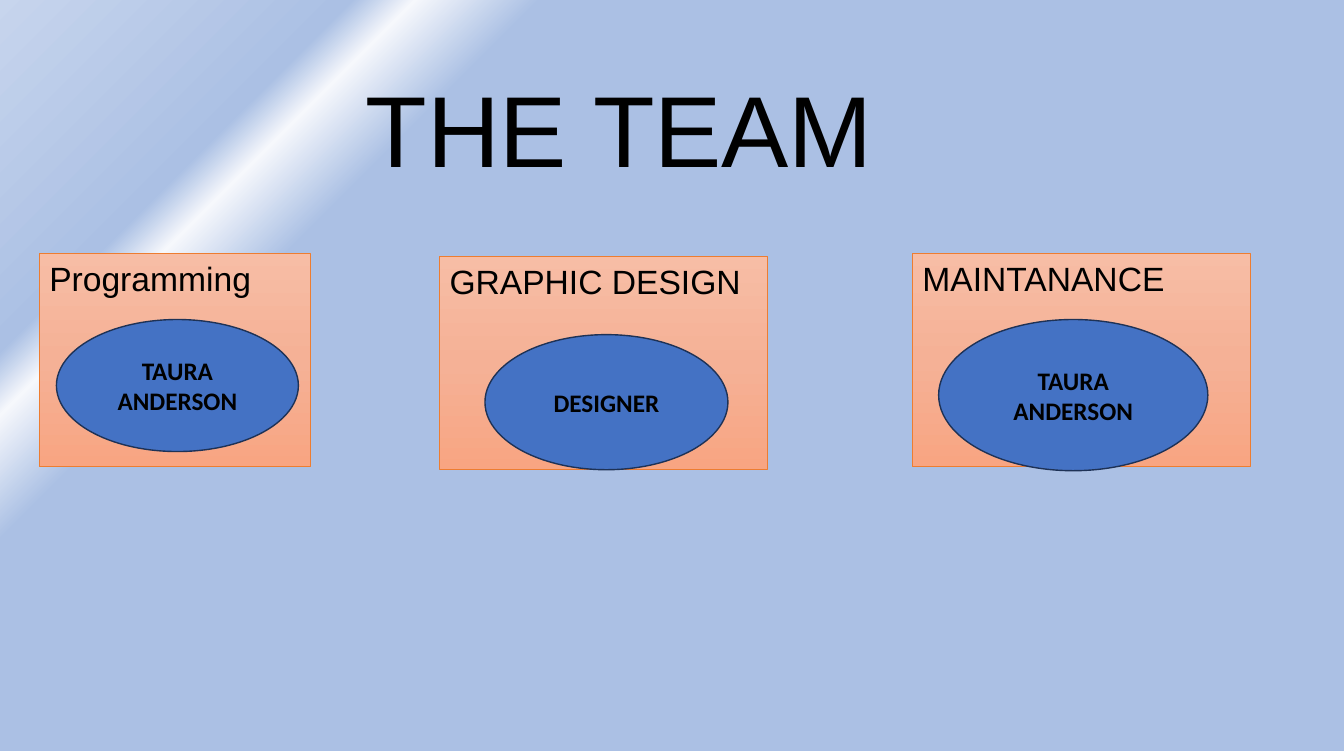
from lxml import etree
from pptx import Presentation
from pptx import util as u
from pptx.dml.color import RGBColor
from pptx.enum import shapes, text
from pptx.oxml import ns

COLORS = {
    "ink": "000000", "card_line": "ED7D31",
    "oval": "4472C4", "oval_line": "1E3256",
}
BACKDROP_STOPS = [(74, "ABC0E4"), (80, "F6F8FC"), (83, "ABC0E4"), (100, "C7D5ED")]
CARD_STOPS = [(0, "F7BDA5"), (50, "F5B196"), (100, "F8A582")]

# Team, card box, member, oval box relative to the card
TEAMS = [
    ("Programming", (0.39, 2.51, 2.69, 2.12), "TAURA ANDERSON", (0.17, 0.66, 2.4, 1.31)),
    ("GRAPHIC DESIGN", (4.36, 2.54, 3.25, 2.12), "DESIGNER", (0.45, 0.78, 2.41, 1.34)),
    ("MAINTANANCE", (9.05, 2.51, 3.35, 2.12), "TAURA ANDERSON", (0.26, 0.66, 2.67, 1.5)),
]


def rgb(name):
    return RGBColor.from_string(COLORS[name])


def gradient(shape, stops, radial=False):
    """Fill with colour stops, downwards or radially from the bottom right."""
    shape.fill.gradient()
    grad = shape.fill._fill._gradFill
    for child in list(grad):
        grad.remove(child)

    def add(parent, tag, **attributes):
        return etree.SubElement(parent, ns.qn(tag), **attributes)

    stop_list = add(grad, "a:gsLst")
    for share, color in stops:
        stop = add(stop_list, "a:gs", pos=str(share * 1000))
        add(stop, "a:srgbClr", val=color)
    if radial:
        circle = add(grad, "a:path", path="circle")
        add(circle, "a:fillToRect", l="100000", t="100000")
    else:
        add(grad, "a:lin", ang="5400000", scaled="0")


def add_box(slide, kind, box):
    shape = slide.shapes.add_shape(kind, *map(u.Inches, box))
    shape.shadow.inherit = False
    return shape


def outline(shape, color, width):
    shape.line.color.rgb = rgb(color)
    shape.line.width = u.Pt(width)


def write(shape, words, size, font, align, anchor, bold=False):
    frame = shape.text_frame
    frame.word_wrap = True
    frame.vertical_anchor = anchor
    paragraph = frame.paragraphs[0]
    paragraph.alignment = align
    run = paragraph.add_run()
    run.text = words
    run.font.size = u.Pt(size)
    run.font.name = font
    run.font.bold = bold
    run.font.color.rgb = rgb("ink")


def add_backdrop(slide, box):
    backdrop = add_box(slide, shapes.MSO_SHAPE.RECTANGLE, box)
    gradient(backdrop, BACKDROP_STOPS, radial=True)
    backdrop.line.fill.background()
    # Send behind the title
    slide.shapes._spTree.insert(2, backdrop._element)


def add_title(slide, box):
    title = slide.shapes.title
    title.left, title.top, title.width, title.height = map(u.Inches, box)
    write(title, "THE TEAM", 72, "Arial", text.PP_ALIGN.CENTER, text.MSO_ANCHOR.TOP)


def add_card(slide, team, box):
    card = add_box(slide, shapes.MSO_SHAPE.RECTANGLE, box)
    gradient(card, CARD_STOPS)
    outline(card, "card_line", 0.5)
    write(card, team, 24, "Arial", text.PP_ALIGN.LEFT, text.MSO_ANCHOR.TOP)


def add_member(slide, member, card_box, offset_box):
    dx, dy, width, height = offset_box
    oval = add_box(slide, shapes.MSO_SHAPE.OVAL,
                   (card_box[0] + dx, card_box[1] + dy, width, height))
    oval.fill.solid()
    oval.fill.fore_color.rgb = rgb("oval")
    outline(oval, "oval_line", 1)
    write(oval, member, 18, "Calibri", text.PP_ALIGN.CENTER,
          text.MSO_ANCHOR.MIDDLE, bold=True)


def main():
    deck = Presentation()
    deck.slide_width, deck.slide_height = u.Inches(13.33), u.Inches(7.5)
    slide = deck.slides.add_slide(deck.slide_layouts[5])

    add_backdrop(slide, (0, -0.05, 13.33, 7.5))
    add_title(slide, (2.02, 0.61, 8.25, 1.31))
    for team, card_box, member, offset_box in TEAMS:
        add_card(slide, team, card_box)
        add_member(slide, member, card_box, offset_box)

    deck.save("out.pptx")


if __name__ == "__main__":
    main()
